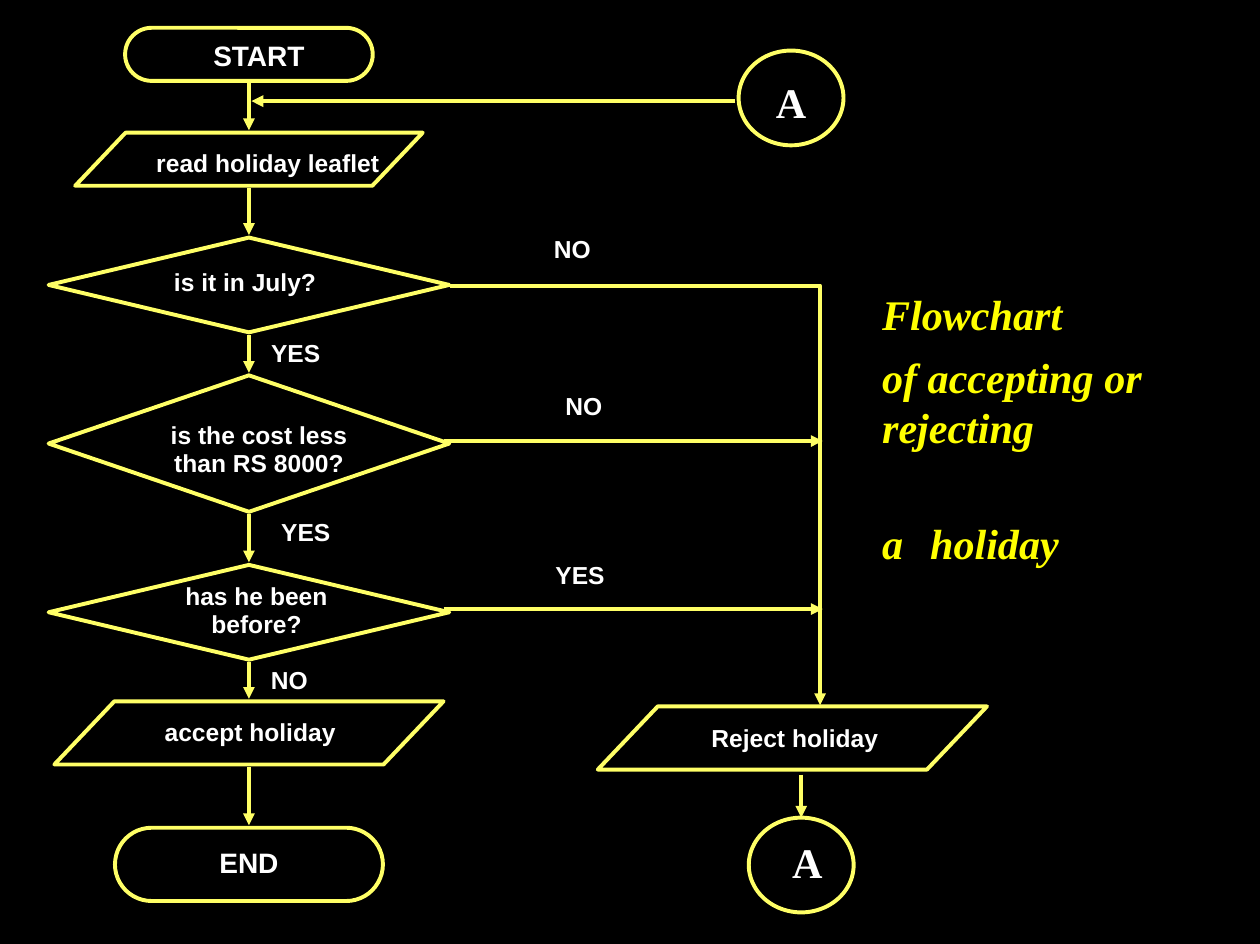
"""Build a flowchart slide about accepting or rejecting a holiday."""
from dataclasses import dataclass
from itertools import pairwise

from lxml.etree import SubElement
from pptx import Presentation
from pptx.dml.color import RGBColor
from pptx.enum.shapes import MSO_CONNECTOR, MSO_SHAPE
from pptx.enum.text import MSO_ANCHOR, PP_ALIGN
from pptx.oxml.ns import qn
from pptx.util import Inches, Pt


@dataclass(frozen=True)
class Theme:
    background: RGBColor = RGBColor(0x00, 0x00, 0x00)
    outline: RGBColor = RGBColor(0xFF, 0xFF, 0x66)
    text: RGBColor = RGBColor(0xFF, 0xFF, 0xFF)
    caption: RGBColor = RGBColor(0xFF, 0xFF, 0x00)
    sans: str = "Arial"
    serif: str = "Times New Roman"
    body_size: int = 14
    terminal_size: int = 16
    display_size: int = 24
    line_width: float = 2.25


THEME = Theme()
COLUMN_X = 1.97
REJECT_X = 6.49
ARROW_GAP = 0.02

KINDS = {
    "terminal": (MSO_SHAPE.ROUNDED_RECTANGLE, 0.5, THEME.sans, THEME.terminal_size),
    "action": (MSO_SHAPE.PARALLELOGRAM, 0.95, THEME.sans, THEME.body_size),
    "decision": (MSO_SHAPE.DIAMOND, None, THEME.sans, THEME.body_size),
    "link": (MSO_SHAPE.OVAL, None, THEME.serif, THEME.display_size),
}

# fmt: off
MAIN_STEPS = [
    ("terminal", ["START"], COLUMN_X, 0.22, 1.96, 0.42, 0.08, 0.01),
    ("action", ["read holiday leaflet"], COLUMN_X, 1.05, 2.75, 0.42, 0.15, 0.03),
    ("decision", ["is it in July?"], COLUMN_X, 1.88, 3.17, 0.75, -0.03, -0.03),
    ("decision", ["is the cost less", "than RS 8000?"], COLUMN_X, 2.97, 3.17, 1.08, 0.08, 0.05),
    ("decision", ["has he been", "before?"], COLUMN_X, 4.47, 3.17, 0.75, 0.06, -0.01),
    ("action", ["accept holiday"], COLUMN_X, 5.55, 3.08, 0.5, 0.01, -0.01),
    ("terminal", ["END"], COLUMN_X, 6.55, 2.12, 0.58, 0, -0.02),
]
SIDE_STEPS = [
    ("link", ["A"], 6.26, 0.4, 0.83, 0.75, 0, 0.03),
    ("action", ["Reject holiday"], 6.27, 5.59, 3.08, 0.5, 0.02, 0),
    ("link", ["A"], 6.34, 6.47, 0.83, 0.75, 0.05, -0.03),
]
# fmt: on
SIDE_ARROWS = [
    (5.82, 0.8, 1.99, 0.8),
    (3.51, 3.49, 6.51, 3.49),
    (3.51, 4.82, 6.51, 4.82),
    (6.34, 6.13, 6.34, 6.47),
]
REJECT_ROUTE = [(3.56, 2.26), (REJECT_X, 2.26), (REJECT_X, 5.58)]
ANSWERS = [
    ("NO", 4.53, 1.97),
    ("YES", 2.34, 2.79),
    ("NO", 4.62, 3.21),
    ("YES", 2.42, 4.21),
    ("YES", 4.59, 4.55),
    ("NO", 2.29, 5.38),
]
CAPTION = [("Flowchart", 0), ("of accepting or rejecting", 7), ("a\tholiday", 37.5)]


def style_font(paragraph, name, size, color, italic=False):
    font = paragraph.font
    font.name, font.size, font.bold, font.italic = name, Pt(size), True, italic
    font.color.rgb = color


def write_lines(frame, lines, name, size):
    frame.word_wrap = False
    frame.vertical_anchor = MSO_ANCHOR.MIDDLE
    frame.text = "\n".join(lines)
    for paragraph in frame.paragraphs:
        paragraph.alignment = PP_ALIGN.CENTER
        paragraph.line_spacing = 0.96 if len(lines) > 1 else 1.0
        style_font(paragraph, name, size, THEME.text)


def set_margins(frame, shift_x=0, shift_y=0):
    frame.margin_left = Inches(max(2 * shift_x, 0))
    frame.margin_right = Inches(max(-2 * shift_x, 0))
    frame.margin_top = Inches(max(2 * shift_y, 0))
    frame.margin_bottom = Inches(max(-2 * shift_y, 0))


def style_line(line, arrow=False):
    line.color.rgb = THEME.outline
    line.width = Pt(THEME.line_width)
    if arrow:
        SubElement(line._get_or_add_ln(), qn("a:tailEnd"), type="triangle")


def add_step(slide, kind, lines, center, top, width, height, shift_x, shift_y):
    preset, adjustment, font_name, size = KINDS[kind]
    shape = slide.shapes.add_shape(
        preset, Inches(center - width / 2), Inches(top), Inches(width), Inches(height)
    )
    if adjustment is not None:
        shape.adjustments[0] = adjustment
    shape.shadow.inherit = False
    shape.fill.background()
    style_line(shape.line)
    set_margins(shape.text_frame, shift_x, shift_y)
    write_lines(shape.text_frame, lines, font_name, size)


def add_arrow(slide, *ends):
    connector = slide.shapes.add_connector(MSO_CONNECTOR.STRAIGHT, *map(Inches, ends))
    style_line(connector.line, arrow=True)
    SubElement(connector._element.spPr, qn("a:effectLst"))


def add_reject_route(slide):
    start, *corners = [(Inches(x), Inches(y)) for x, y in REJECT_ROUTE]
    builder = slide.shapes.build_freeform(*start)
    builder.add_line_segments(corners, close=False)
    route = builder.convert_to_shape()
    route.shadow.inherit = False
    route.fill.background()
    style_line(route.line, arrow=True)


def add_answer(slide, answer, center_x, center_y, width=0.5, height=0.22):
    box = slide.shapes.add_textbox(
        Inches(center_x - width / 2), Inches(center_y - height / 2), Inches(width), Inches(height)
    )
    set_margins(box.text_frame)
    write_lines(box.text_frame, [answer], THEME.sans, THEME.body_size)


def add_caption(slide):
    box = slide.shapes.add_textbox(Inches(6.98), Inches(2.29), Inches(2.61), Inches(2.2))
    frame = box.text_frame
    frame.word_wrap = True
    set_margins(frame)
    frame.text = "\n".join(line for line, _ in CAPTION)
    for paragraph, (line, space) in zip(frame.paragraphs, CAPTION):
        paragraph.line_spacing = Pt(28.5)
        paragraph.space_before = Pt(space)
        if "\t" in line:
            tabs = SubElement(paragraph._p.get_or_add_pPr(), qn("a:tabLst"))
            SubElement(tabs, qn("a:tab"), pos=str(Inches(0.38)), algn="l")
        style_font(paragraph, THEME.serif, THEME.display_size, THEME.caption, italic=True)


def main():
    presentation = Presentation()
    presentation.slide_width, presentation.slide_height = Inches(9.97), Inches(7.47)
    slide = presentation.slides.add_slide(presentation.slide_layouts[6])
    slide.background.fill.solid()
    slide.background.fill.fore_color.rgb = THEME.background

    for step in MAIN_STEPS + SIDE_STEPS:
        add_step(slide, *step)
    for (_, _, _, top, _, height, *_), following in pairwise(MAIN_STEPS):
        add_arrow(slide, COLUMN_X, top + height + ARROW_GAP, COLUMN_X, following[3] - ARROW_GAP)
    for ends in SIDE_ARROWS:
        add_arrow(slide, *ends)
    add_reject_route(slide)
    for answer in ANSWERS:
        add_answer(slide, *answer)
    add_caption(slide)
    presentation.save("out.pptx")


main()
